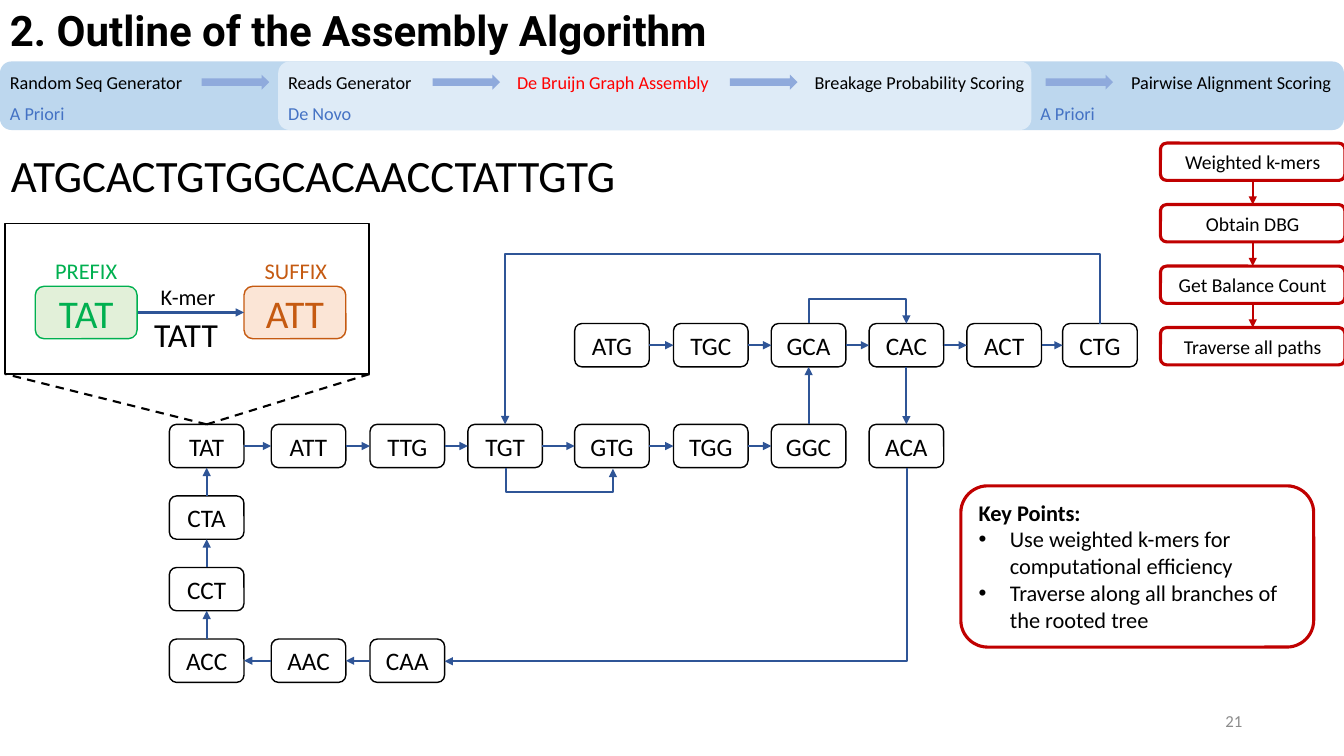
"""Build the slide that outlines the De Bruijn graph assembly algorithm."""
from dataclasses import dataclass
from itertools import pairwise
from typing import Optional

from lxml.etree import SubElement
from pptx import Presentation
from pptx.dml.color import RGBColor
from pptx.enum.dml import MSO_LINE
from pptx.enum.shapes import MSO_CONNECTOR, MSO_SHAPE
from pptx.enum.text import MSO_ANCHOR, PP_ALIGN
from pptx.oxml.ns import qn
from pptx.util import Inches, Pt

COLORS = {
    "black": "000000", "grey": "8C8C8C", "red": "FF0000", "crimson": "C00000",
    "label": "4472C4", "band": "BDD7EE", "inner": "DEEBF7", "step": "8FAADC",
    "edge": "2F5597", "green": "00B050", "mint": "E2F0D9",
    "orange": "C55A11", "peach": "FBE5D6",
}
SIDES = {"up": (0, 2), "left": (1, 3), "down": (2, 0), "right": (3, 1)}
COLUMNS = [1.68, 2.69, 3.67, 4.64, 5.7, 6.68, 7.65, 8.62, 9.59, 10.54]
NODE_W, NODE_H = 0.74, 0.43
TOP_Y, MAIN_Y, ROW_STEP = 3.21, 4.21, 0.71


@dataclass
class Label:
    text: str
    x: float
    y: float
    w: float
    h: float = 0.32
    size: float = 13
    color: str = "black"
    font: str = "Calibri"
    bold: bool = False
    wrap: bool = False
    align: PP_ALIGN = PP_ALIGN.LEFT
    anchor: MSO_ANCHOR = MSO_ANCHOR.TOP


@dataclass
class Box:
    x: float
    y: float
    w: float
    h: float
    text: str = ""
    size: float = 18
    color: str = "black"
    fill: Optional[str] = None
    line: Optional[str] = None
    width: float = 1
    kind: MSO_SHAPE = MSO_SHAPE.ROUNDED_RECTANGLE


@dataclass
class NodeRow:
    y: float
    column: int
    kmers: str


@dataclass
class Chain:
    side: str
    kmers: str


@dataclass
class Bend:
    x1: float
    y1: float
    x2: float
    y2: float
    via: Optional[float] = None


def rgb(name):
    return RGBColor.from_string(COLORS[name])


def apply(obj, values: dict):
    for name, value in values.items():
        setattr(obj, name, value)


def write(p, text: str, size: float, color: str, font="Calibri", bold=False):
    r = p.add_run()
    r.text = text
    apply(r.font, {"name": font, "size": Pt(size), "bold": bold})
    r.font.color.rgb = rgb(color)


def add_label(s, label: Label):
    sp = s.shapes.add_textbox(*map(Inches, (label.x, label.y, label.w, label.h)))
    tf = sp.text_frame
    apply(tf, {"word_wrap": label.wrap, "vertical_anchor": label.anchor})
    p = tf.paragraphs[0]
    p.alignment = label.align
    write(p, label.text, label.size, label.color, label.font, label.bold)


def add_box(s, box: Box):
    sp = s.shapes.add_shape(box.kind, *map(Inches, (box.x, box.y, box.w, box.h)))
    sp.shadow.inherit = False
    if box.fill:
        sp.fill.solid()
        sp.fill.fore_color.rgb = rgb(box.fill)
    else:
        sp.fill.background()
    if box.line:
        sp.line.color.rgb = rgb(box.line)
        sp.line.width = Pt(box.width)
    else:
        sp.line.fill.background()
    if box.text:
        apply(sp.text_frame, {"word_wrap": True, "vertical_anchor": MSO_ANCHOR.MIDDLE})
        p = sp.text_frame.paragraphs[0]
        p.alignment = PP_ALIGN.CENTER
        write(p, box.text, box.size, box.color)
    return sp


def add_line(s, x1=0.0, y1=0.0, x2=0.0, y2=0.0, color="edge", arrow=True,
             kind=MSO_CONNECTOR.STRAIGHT):
    cx = s.shapes.add_connector(kind, *map(Inches, (x1, y1, x2, y2)))
    cx.line.color.rgb = rgb(color)
    cx.line.width = Pt(1.5)
    if arrow:
        SubElement(cx.line._get_or_add_ln(), qn("a:tailEnd"), type="triangle")
    SubElement(cx._element.spPr, qn("a:effectLst"))
    return cx


def link(s, start, end, side: str, color="edge"):
    cx = add_line(s, color=color)
    first, last = SIDES[side]
    cx.begin_connect(start, first)
    cx.end_connect(end, last)


def add_bend(s, bend: Bend):
    w, h = bend.y2 - bend.y1, abs(bend.x2 - bend.x1)
    x, y = (bend.x1 + bend.x2 - w) / 2, (bend.y1 + bend.y2 - h) / 2
    cx = add_line(s, x, y, x + w, y + h, kind=MSO_CONNECTOR.ELBOW)
    xfrm = cx._element.spPr.find(qn("a:xfrm"))
    xfrm.set("rot", str(90 * 60000))
    if bend.x2 > bend.x1:
        xfrm.set("flipV", "1")
    geom = cx._element.spPr.find(qn("a:prstGeom"))
    if bend.via is None:
        geom.set("prst", "bentConnector2")
    else:
        ratio = round((bend.via - bend.y1) / w * 100000)
        guides = geom.find(qn("a:avLst"))
        SubElement(guides, qn("a:gd"), name="adj1", fmla=f"val {ratio}")


def add_key_points(s):
    sp = add_box(s, Box(9.53, 4.82, 3.5, 1.6, line="crimson", width=2.25))
    tf = sp.text_frame
    apply(tf, {"word_wrap": True, "vertical_anchor": MSO_ANCHOR.TOP})
    p = tf.paragraphs[0]
    p.alignment = PP_ALIGN.LEFT
    write(p, "Key Points:", 16, "black", bold=True)
    for point in ("Use weighted k-mers for computational efficiency",
                  "Traverse along all branches of the rooted tree"):
        p = tf.add_paragraph()
        p.alignment = PP_ALIGN.LEFT
        write(p, point, 16, "black")
        pPr = p._p.get_or_add_pPr()
        pPr.set("marL", str(Inches(0.31)))
        pPr.set("indent", str(-Inches(0.31)))
        SubElement(pPr, qn("a:buFont"), typeface="Arial")
        SubElement(pPr, qn("a:buChar"), char="•")


prs = Presentation()
apply(prs, {"slide_width": Inches(13.33), "slide_height": Inches(7.5)})
s = prs.slides.add_slide(prs.slide_layouts[6])

add_box(s, Box(0, 0.61, 13.33, 0.68, fill="band"))
add_box(s, Box(2.76, 0.61, 7.47, 0.68, fill="inner"))
for x in (2, 4.29, 7.24, 10.37):
    add_box(s, Box(x, 0.74, 0.67, 0.15, fill="step", kind=MSO_SHAPE.RIGHT_ARROW))
for label in (
    Label("2. Outline of the Assembly Algorithm", 0, 0, 9.25, 0.61, 30,
          font="Roboto", bold=True, wrap=True),
    Label("Random Seq Generator", 0, 0.66, 1.94),
    Label("Reads Generator", 2.76, 0.66, 1.45),
    Label("De Bruijn Graph Assembly", 5.03, 0.66, 2.14, color="red"),
    Label("Breakage Probability Scoring", 7.98, 0.66, 2.31),
    Label("Pairwise Alignment Scoring", 11.12, 0.66, 2.21),
    Label("A Priori", 0, 0.97, 0.75, color="label"),
    Label("De Novo", 2.76, 0.97, 0.84, color="label"),
    Label("A Priori", 10.22, 0.97, 0.75, color="label"),
    Label("ATGCACTGTGGCACAACCTATTGTG", 0.01, 1.42, 6.4, 0.64, 32),
    Label("21", 9.42, 6.95, 3, 0.4, 12, "grey", wrap=True,
          align=PP_ALIGN.RIGHT, anchor=MSO_ANCHOR.MIDDLE),
):
    add_label(s, label)

nodes = {}
for row in (
    NodeRow(TOP_Y, 4, "ATG TGC GCA CAC ACT CTG"),
    NodeRow(MAIN_Y, 0, "TAT ATT TTG TGT GTG TGG GGC ACA"),
    NodeRow(MAIN_Y + ROW_STEP, 0, "CTA"),
    NodeRow(MAIN_Y + 2 * ROW_STEP, 0, "CCT"),
    NodeRow(MAIN_Y + 3 * ROW_STEP, 0, "ACC AAC CAA"),
):
    for x, kmer in zip(COLUMNS[row.column:], row.kmers.split()):
        nodes[kmer] = add_box(s, Box(x, row.y, NODE_W, NODE_H, kmer, line="black"))
for chain in (
    Chain("left", "CAA AAC ACC"), Chain("up", "ACC CCT CTA TAT"),
    Chain("right", "TAT ATT TTG TGT GTG TGG GGC"), Chain("up", "GGC GCA"),
    Chain("right", "ATG TGC GCA CAC ACT CTG"), Chain("down", "CAC ACA"),
):
    for start, end in pairwise(chain.kmers.split()):
        link(s, nodes[start], nodes[end], chain.side)
for bend in (
    Bend(8.02, 3.2, 8.99, 3.21, 2.96), Bend(9, 4.64, 4.41, 6.56),
    Bend(10.91, 3.21, 5.01, 4.21, 2.52), Bend(5.02, 4.64, 6.08, 4.65, 4.88),
):
    add_bend(s, bend)

for box in (
    Box(0.35, 2.84, 1.01, 0.52, "TAT", 28, "green", "mint", "green"),
    Box(2.42, 2.84, 1.01, 0.52, "ATT", 28, "orange", "peach", "orange"),
    Box(1.34, 3.05, 1.01, 0.52, "TATT", 24),
    Box(0.35, 2.42, 1.01, 0.52, "PREFIX", 16, "green"),
    Box(2.43, 2.42, 1.01, 0.52, "SUFFIX", 16, "orange"),
    Box(1.36, 2.68, 1.01, 0.52, "K-mer", 16),
    Box(0.05, 2.22, 3.61, 1.49, line="black", kind=MSO_SHAPE.RECTANGLE),
):
    add_box(s, box)
add_line(s, 1.37, 3.1, 2.42, 3.1)
for x in (0.05, 3.67):
    cx = add_line(s, 2.05, MAIN_Y, x, 3.71, "black", arrow=False)
    cx.line.dash_style = MSO_LINE.DASH

add_key_points(s)
steps = [add_box(s, Box(11.51, 1.42 + 0.61 * i, 1.83, 0.37, text, 14,
                        line="crimson", width=2.25))
         for i, text in enumerate(("Weighted k-mers", "Obtain DBG",
                                   "Get Balance Count", "Traverse all paths"))]
for start, end in pairwise(steps):
    link(s, start, end, "down", "crimson")

prs.save("out.pptx")
